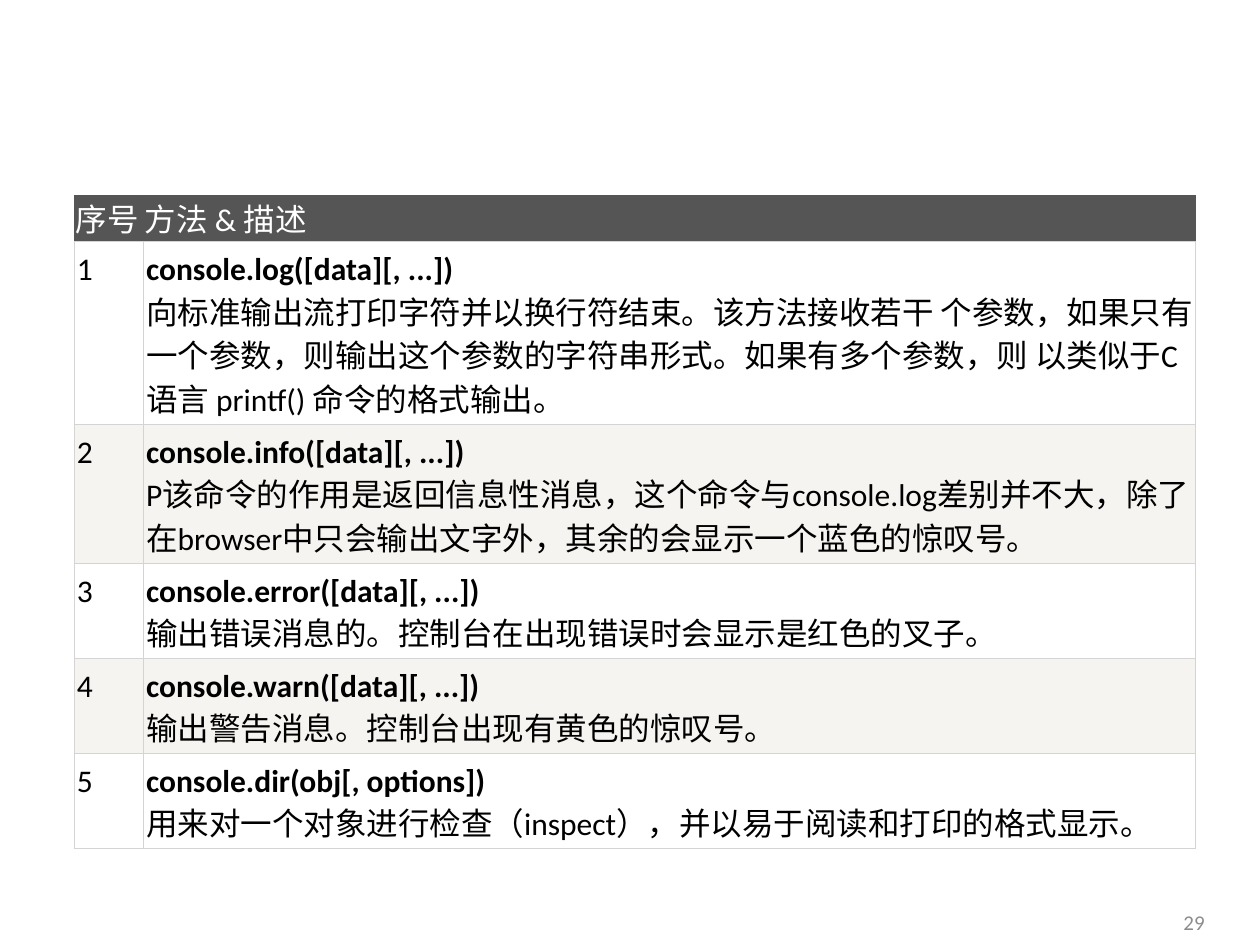
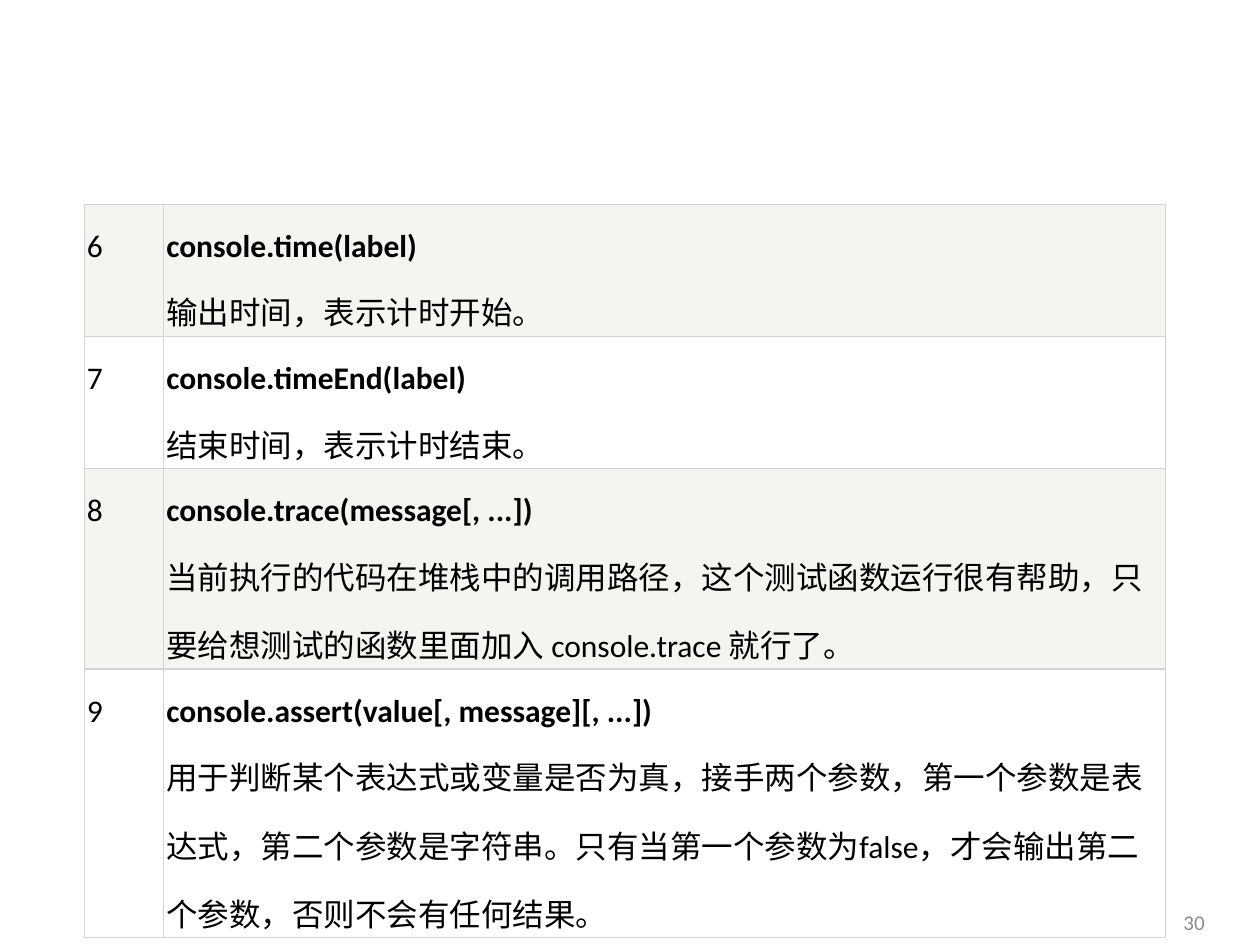
import pptx
import pptx.util
import pptx.dml.color
import pptx.enum.text
import pptx.oxml.ns
from dataclasses import dataclass
from lxml import etree
from pptx.util import Inches


@dataclass(frozen=True)
class Theme:
    font: str = "Calibri"
    body_size: int = 18
    number_size: int = 12
    text: str = "000000"
    header_text: str = "FFFFFF"
    number: str = "8C8C8C"
    header: str = "555555"
    plain: str = "FFFFFF"
    band: str = "F6F4F0"
    border: str = "D4D4D4"
    border_width: float = 0.75


THEME = Theme()

# Table content: number, method, description
HEADINGS = ("序号", "方法 & 描述")
OUTPUT_METHODS = [
    ("1", "console.log([data][, ...])",
     "向标准输出流打印字符并以换行符结束。该方法接收若干 个参数，如果只有一个参数，"
     "则输出这个参数的字符串形式。如果有多个参数，则 以类似于C 语言 printf() 命令的格式输出。"),
    ("2", "console.info([data][, ...])",
     "P该命令的作用是返回信息性消息，这个命令与console.log差别并不大，"
     "除了在browser中只会输出文字外，其余的会显示一个蓝色的惊叹号。"),
    ("3", "console.error([data][, ...])",
     "输出错误消息的。控制台在出现错误时会显示是红色的叉子。"),
    ("4", "console.warn([data][, ...])",
     "输出警告消息。控制台出现有黄色的惊叹号。"),
    ("5", "console.dir(obj[, options])",
     "用来对一个对象进行检查（inspect），并以易于阅读和打印的格式显示。"),
]
TRACE_METHODS = [
    ("6", "console.time(label)", "输出时间，表示计时开始。"),
    ("7", "console.timeEnd(label)", "结束时间，表示计时结束。"),
    ("8", "console.trace(message[, ...])",
     "当前执行的代码在堆栈中的调用路径，这个测试函数运行很有帮助，"
     "只要给想测试的函数里面加入 console.trace 就行了。"),
    ("9", "console.assert(value[, message][, ...])",
     "用于判断某个表达式或变量是否为真，接手两个参数，第一个参数是表达式，第二个参数是字符串。"
     "只有当第一个参数为false，才会输出第二个参数，否则不会有任何结果。"),
]


def rgb(color):
    return pptx.dml.color.RGBColor.from_string(color)


def add_run(paragraph, text, color, size=THEME.body_size, bold=False):
    run = paragraph.add_run()
    run.text = text
    run.font.name = THEME.font
    run.font.size = pptx.util.Pt(size)
    run.font.bold = bold
    run.font.color.rgb = rgb(color)


def add_slide_number(slide, number):
    box = slide.shapes.add_textbox(Inches(7.33), Inches(7.12), Inches(2.33), Inches(0.4))
    frame = box.text_frame
    frame.word_wrap = True
    frame.vertical_anchor = pptx.enum.text.MSO_ANCHOR.MIDDLE
    paragraph = frame.paragraphs[0]
    paragraph.alignment = pptx.enum.text.PP_ALIGN.RIGHT
    add_run(paragraph, str(number), THEME.number, THEME.number_size)


def set_borders(cell, side_color):
    """Outline a cell; the bottom edge always has the common border colour."""
    properties = cell._tc.get_or_add_tcPr()
    colors = {"L": side_color, "R": side_color, "T": side_color, "B": THEME.border}
    qn = pptx.oxml.ns.qn
    for side, color in colors.items():
        line = etree.SubElement(properties, qn("a:ln" + side),
                                w=str(pptx.util.Pt(THEME.border_width)))
        fill = etree.SubElement(line, qn("a:solidFill"))
        etree.SubElement(fill, qn("a:srgbClr"), val=color)


def style_cell(cell, fill, side_color, inset_x, inset_y, line_spacing):
    """Format a cell and return its paragraph, ready for runs."""
    set_borders(cell, side_color)
    cell.fill.solid()
    cell.fill.fore_color.rgb = rgb(fill)
    cell.margin_left = cell.margin_right = Inches(inset_x)
    cell.margin_top = cell.margin_bottom = Inches(inset_y)
    paragraph = cell.text_frame.paragraphs[0]
    paragraph.line_spacing = line_spacing
    return paragraph


def add_header(table, line_spacing):
    for cell, heading in zip(table.rows[0].cells, HEADINGS):
        paragraph = style_cell(cell, THEME.header, THEME.header, 0.01, 0.01, line_spacing)
        add_run(paragraph, heading, THEME.header_text)


def add_method(row, method, line_spacing):
    number, signature, description = method
    # Even-numbered methods are banded
    fill = THEME.plain if int(number) % 2 else THEME.band
    number_paragraph, method_paragraph = [
        style_cell(cell, fill, THEME.border, 0.02, 0.03, line_spacing)
        for cell in row.cells]
    add_run(number_paragraph, number, THEME.text)
    add_run(method_paragraph, signature, THEME.text, bold=True)
    method_paragraph.add_line_break()
    add_run(method_paragraph, description, THEME.text)


def add_method_table(slide, left, top, widths, heights, methods, line_spacing):
    """Add a table; a row more than there are methods becomes the header."""
    table = slide.shapes.add_table(
        len(heights), len(widths), Inches(left), Inches(top),
        Inches(sum(widths)), Inches(sum(heights))).table
    table.horz_banding = False
    has_header = len(heights) > len(methods)
    table.first_row = has_header
    for column, width in zip(table.columns, widths):
        column.width = Inches(width)
    for row, height in zip(table.rows, heights):
        row.height = Inches(height)
    if has_header:
        add_header(table, line_spacing)
    for row, method in zip(list(table.rows)[int(has_header):], methods):
        add_method(row, method, line_spacing)


def main():
    presentation = pptx.Presentation()
    presentation.slide_width = Inches(10)
    presentation.slide_height = Inches(7.5)
    blank = presentation.slide_layouts[6]

    # Output methods, with the header row
    slide = presentation.slides.add_slide(blank)
    add_slide_number(slide, 29)
    add_method_table(slide, 0.59, 1.55, (0.55, 8.35),
                     (0.37, 1.44, 1.1, 0.75, 0.75, 0.75),
                     OUTPUT_METHODS, pptx.util.Pt(25))

    # Timing, trace and assertion methods
    slide = presentation.slides.add_slide(blank)
    add_slide_number(slide, 30)
    add_method_table(slide, 0.67, 1.62, (0.63, 7.95),
                     (1.05, 1.05, 1.59, 2.13),
                     TRACE_METHODS, 1.5)

    presentation.save("out.pptx")


main()
